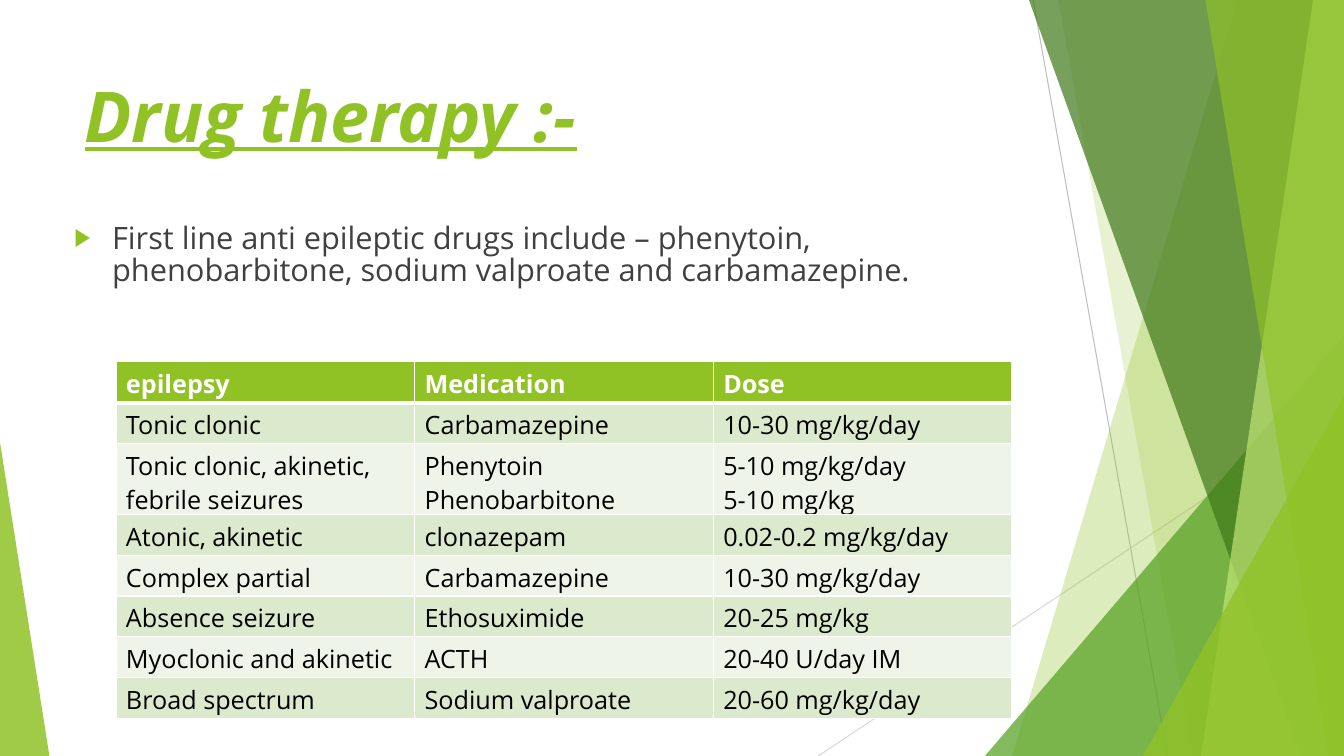
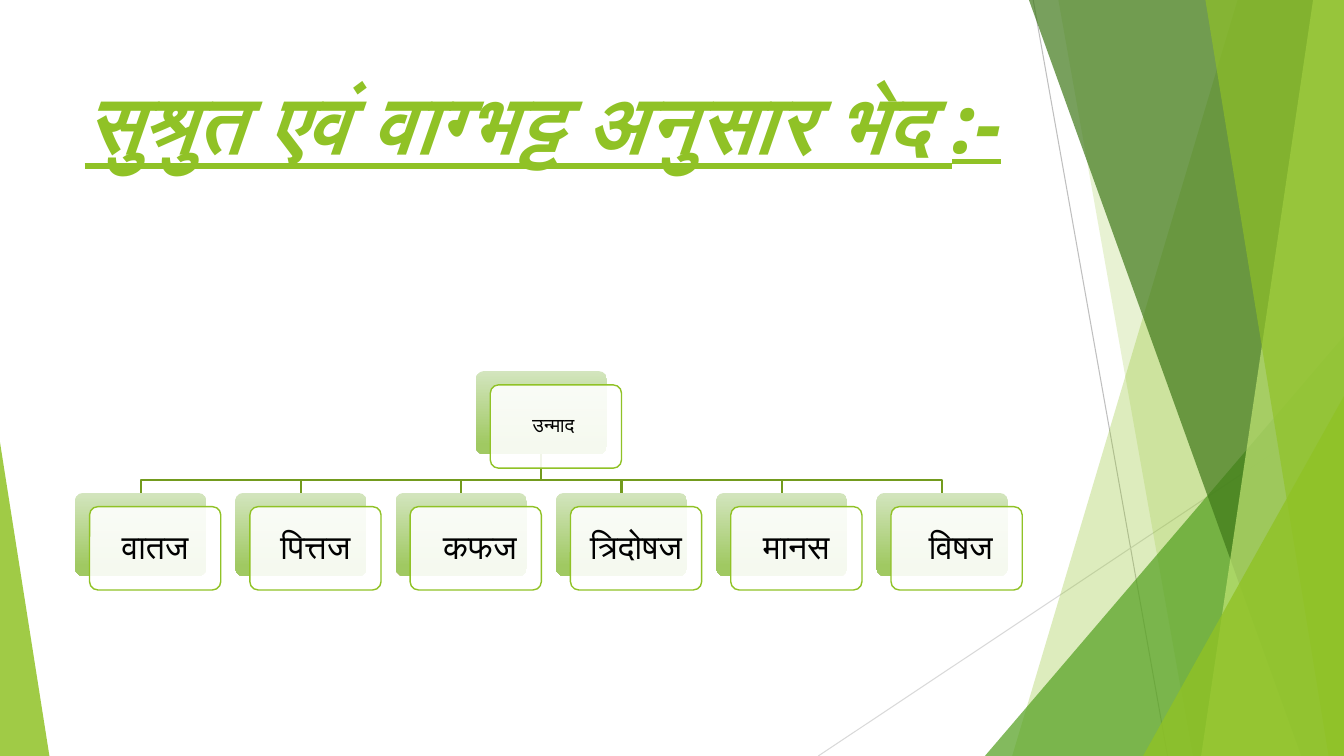
import dataclasses
import typing

import pptx
import pptx.dml.color
import pptx.enum.shapes
import pptx.enum.text
import pptx.oxml
import pptx.oxml.ns
import pptx.shapes.autoshape
import pptx.slide
import pptx.table
import pptx.util

Pt = pptx.util.Pt
RGB = pptx.dml.color.RGBColor
Kind = pptx.enum.shapes.MSO_SHAPE
qn = pptx.oxml.ns.qn

# Shared look
WIDE, HIGH = 960, 540
FONT = "Open Sans"
LIME = RGB(0x90, 0xC2, 0x26)
GREEN = RGB(0x54, 0xA0, 0x21)
DARK = RGB(0x3F, 0x78, 0x19)
PALE = RGB(0xC0, 0xE4, 0x74)
OLIVE = RGB(0x73, 0x9B, 0x1E)
MIST = RGB(0xD3, 0xE5, 0xBE)
LEAF = RGB(0xA0, 0xC9, 0x62)
BAND = RGB(0xDB, 0xE9, 0xCD)
LIGHT = RGB(0xEE, 0xF4, 0xE8)
INK = RGB(0x40, 0x40, 0x40)
BLACK = RGB(0, 0, 0)
WHITE = RGB(0xFF, 0xFF, 0xFF)


@dataclasses.dataclass(frozen=True)
class Box:
    left: float
    top: float
    width: float
    height: float

    def lengths(self) -> tuple[int, ...]:
        return tuple(Pt(n) for n in dataclasses.astuple(self))


@dataclasses.dataclass(frozen=True)
class Ray:
    start: tuple[float, float]
    end: tuple[float, float]
    color: RGB


@dataclasses.dataclass(frozen=True)
class Blade:
    """Full-height band from its slanted left edge to the slide's right edge."""
    top: float
    foot: float
    color: RGB
    alpha: int


@dataclasses.dataclass(frozen=True)
class Wedge:
    box: Box
    apex: float
    color: RGB
    alpha: int


@dataclasses.dataclass(frozen=True)
class Card:
    text: str
    left: float
    top: float
    size: float
    inset: float


RAYS = [
    Ray((738, 0), (834, HIGH), RGB(0xBF, 0xBF, 0xBF)),
    Ray((WIDE, 290), (584.5, HIGH), RGB(0xD9, 0xD9, 0xD9)),
]
FACETS: list[Blade | Wedge] = [
    Blade(884, 723, LIME, 30),
    Blade(756, 852, LIME, 20),
    Wedge(Box(703.5, 240, 256.5, 300), 1, GREEN, 72),
    Blade(735, 929.5, DARK, 70),
    Blade(938, 858, PALE, 70),
    Blade(861, 949, LIME, 65),
    Wedge(Box(816.5, 283, 143.5, 257), 1, LIME, 80),
    Wedge(Box(0, 316, 35.3, 224), 0, LIME, 85),
]


# Drawing helpers
def paint(shape: pptx.shapes.autoshape.Shape, color: RGB, alpha: int) -> None:
    shape.shadow.inherit = False
    shape.fill.solid()
    shape.fill.fore_color.rgb = color
    tint = shape.element.spPr.find(qn("a:solidFill"))[0]
    pptx.oxml.ns  # namespace helpers serve qn
    tint.append(node("alpha", val=alpha * 1000))
    shape.line.fill.background()


def node(tag: str, **attrs: object) -> typing.Any:
    item = pptx.oxml.parse_xml(
        f'<a:{tag} xmlns:a="http://schemas.openxmlformats.org/drawingml/2006/main"/>')
    for key, val in attrs.items():
        item.set(key, str(val))
    return item


def outline(slide: pptx.slide.Slide, dots: list[tuple[float, float]],
            close: bool) -> pptx.shapes.autoshape.Shape:
    first, *rest = [(Pt(x), Pt(y)) for x, y in dots]
    pen = slide.shapes.build_freeform(*first)
    pen.add_line_segments(rest, close=close)
    shape = pen.convert_to_shape()
    shape.shadow.inherit = False
    return shape


def write(para: typing.Any, text: str, size: float, color: RGB,
          bold: bool = False) -> typing.Any:
    run = para.add_run()
    run.text = text
    font = run.font
    font.name, font.size, font.bold = FONT, Pt(size), bold
    font.color.rgb = color
    return font


def draw_ray(slide: pptx.slide.Slide, ray: Ray) -> None:
    ends = [Pt(n) for n in (*ray.start, *ray.end)]
    line = slide.shapes.add_connector(
        pptx.enum.shapes.MSO_CONNECTOR.STRAIGHT, *ends)
    line.line.color.rgb = ray.color
    line.line.width = Pt(0.75)
    line.element.spPr.append(node("effectLst"))


def draw_facet(slide: pptx.slide.Slide, facet: Blade | Wedge) -> None:
    if isinstance(facet, Blade):
        shape = outline(slide, [(facet.top, 0), (WIDE, 0), (WIDE, HIGH),
                                (facet.foot, HIGH)], True)
    else:
        shape = slide.shapes.add_shape(Kind.ISOSCELES_TRIANGLE,
                                       *facet.box.lengths())
        shape.adjustments[0] = facet.apex
    paint(shape, facet.color, facet.alpha)


def add_text(slide: pptx.slide.Slide, box: Box) -> typing.Any:
    frame = slide.shapes.add_textbox(*box.lengths()).text_frame
    frame.word_wrap = True
    return frame.paragraphs[0]


def add_slide(deck: typing.Any, title: str, size: float) -> pptx.slide.Slide:
    slide = deck.slides.add_slide(deck.slide_layouts[6])
    for ray in RAYS:
        draw_ray(slide, ray)
    for facet in FACETS:
        draw_facet(slide, facet)
    para = add_text(slide, Box(53.3, 48, 677, 104))
    font = write(para, title, size, LIME, True)
    font.italic = font.underline = True
    return slide


# Drug slide
DOSES = [
    ("epilepsy", "Medication", "Dose"),
    ("Tonic clonic", "Carbamazepine", "10-30 mg/kg/day"),
    ("Tonic clonic, akinetic, febrile seizures",
     "Phenytoin\nPhenobarbitone", "5-10 mg/kg/day\n5-10 mg/kg"),
    ("Atonic, akinetic", "clonazepam", "0.02-0.2 mg/kg/day"),
    ("Complex partial", "Carbamazepine", "10-30 mg/kg/day"),
    ("Absence seizure", "Ethosuximide", "20-25 mg/kg"),
    ("Myoclonic and akinetic", "ACTH", "20-40 U/day IM"),
    ("Broad spectrum", "Sodium valproate", "20-60 mg/kg/day"),
]


def add_point(slide: pptx.slide.Slide, text: str) -> None:
    para = add_text(slide, Box(46, 156, 677, 64))
    para.line_spacing = 0.88
    props = para._p.get_or_add_pPr()
    props.set("marL", str(Pt(27)))
    props.set("indent", str(-Pt(27)))
    tint = node("buClr")
    tint.append(node("srgbClr", val=LIME))
    props.extend([tint, node("buSzPct", val=80000),
                  node("buFont", typeface="Arial"), node("buChar", char="▶")])
    write(para, text, 22, INK)


def edge_cell(cell: typing.Any, row: int) -> None:
    widths = {"lnL": 1, "lnR": 1, "lnT": 3 if row == 1 else 1,
              "lnB": 3 if row == 0 else 1}
    props = cell._tc.get_or_add_tcPr()
    for spot, (tag, width) in enumerate(widths.items()):
        edge, fill = node(tag, w=Pt(width)), node("solidFill")
        fill.append(node("srgbClr", val=WHITE))
        edge.append(fill)
        props.insert(spot, edge)


def add_doses(slide: pptx.slide.Slide) -> None:
    box = Box(82.8, 258.5, 640, 29.2 * len(DOSES))
    table = slide.shapes.add_table(len(DOSES), 3, *box.lengths()).table
    table.first_row = table.horz_banding = False
    for r, texts in enumerate(DOSES):
        head = r == 0
        for c, text in enumerate(texts):
            cell = table.cell(r, c)
            cell.fill.solid()
            cell.fill.fore_color.rgb = (
                LIME if head else BAND if r % 2 else LIGHT)
            edge_cell(cell, r)
            frame = cell.text_frame
            for i, part in enumerate(text.split("\n")):
                para = frame.add_paragraph() if i else frame.paragraphs[0]
                write(para, part, 18, WHITE if head else BLACK, head)


# Tree slide
KINDS = ["वातज", "पित्तज", " कफज", "त्रिदोषज", "मानस", " विषज"]
CARD_W, CARD_H, STEP = 93.7, 59.5, 114.5
LEFT, ROOT_Y, KIND_Y, BUS_Y = 53.6, 265, 352, 342.8


def draw_card(slide: pptx.slide.Slide, card: Card) -> None:
    back, front = (
        slide.shapes.add_shape(Kind.ROUNDED_RECTANGLE, *Box(
            card.left + dx, card.top + dy, CARD_W, CARD_H).lengths())
        for dx, dy in ((0, 0), (10.4, 9.9)))
    for shape in (back, front):
        shape.adjustments[0] = 0.1
    paint(front, WHITE, 90)
    front.line.color.rgb = LIME
    front.line.width = Pt(1)
    back.shadow.inherit = False
    back.line.fill.background()
    back.fill.gradient()
    back.fill.gradient_angle = 270
    for stop, color, spot in zip(back.fill.gradient_stops,
                                 (MIST, LEAF), (0, 0.88)):
        stop.color.rgb, stop.position = color, spot
    frame = front.text_frame
    frame.word_wrap = True
    frame.vertical_anchor = pptx.enum.text.MSO_ANCHOR.MIDDLE
    frame.margin_left = frame.margin_right = Pt(card.inset)
    frame.margin_top = frame.margin_bottom = Pt(card.inset)
    para = frame.paragraphs[0]
    para.alignment = pptx.enum.text.PP_ALIGN.CENTER
    para.line_spacing = 0.9
    write(para, card.text, card.size, BLACK)


def add_tree(slide: pptx.slide.Slide) -> None:
    root = Card("उन्माद ", LEFT + STEP * (len(KINDS) - 1) / 2, ROOT_Y, 14, 4.3)
    cards = [Card(text, LEFT + i * STEP, KIND_Y, 24, 7.2)
             for i, text in enumerate(KINDS)]
    stem = root.left + CARD_W / 2
    for card in cards:
        mid = card.left + CARD_W / 2
        branch = outline(slide, [(stem, ROOT_Y + CARD_H), (stem, BUS_Y),
                                 (mid, BUS_Y), (mid, KIND_Y)], False)
        branch.fill.background()
        branch.line.color.rgb = OLIVE
        branch.line.width = Pt(1.5)
    for card in (root, *cards):
        draw_card(slide, card)


# Build
deck = pptx.Presentation()
deck.slide_width, deck.slide_height = Pt(WIDE), Pt(HIGH)

drugs = add_slide(deck, "Drug therapy :-", 50)
add_point(drugs, "First line anti epileptic drugs include – phenytoin, "
                 "phenobarbitone, sodium valproate and carbamazepine.")
add_doses(drugs)

add_tree(add_slide(deck, "सुश्रुत एवं वाग्भट्ट अनुसार भेद :-", 58))

deck.save("out.pptx")
